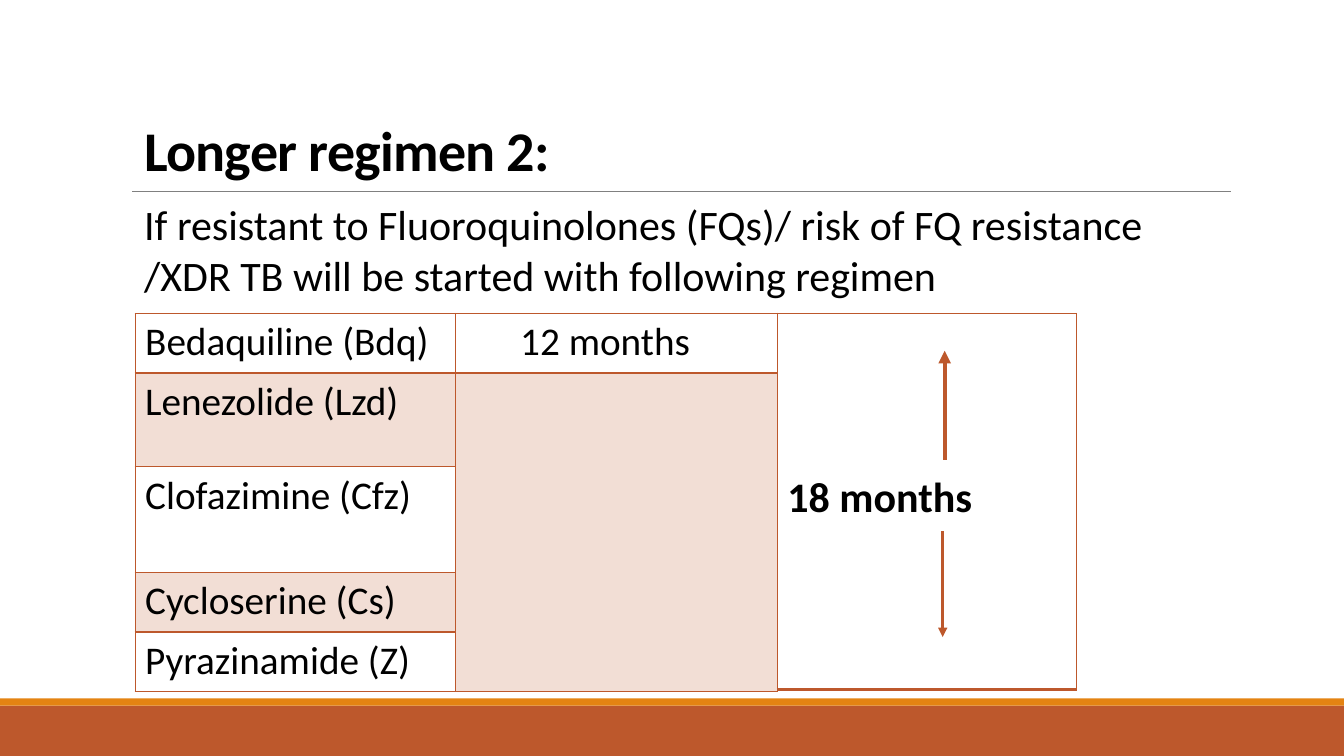
from pptx import Presentation
from pptx.dml.color import RGBColor
from pptx.enum.shapes import MSO_CONNECTOR as Connector, MSO_SHAPE as Shape
from pptx.enum.text import MSO_ANCHOR as Anchor, MSO_AUTO_SIZE as AutoSize, PP_ALIGN as Align
from pptx.oxml.ns import qn
from pptx.util import Inches, Pt
from lxml.etree import SubElement

COLORS = {"rust": "BD582C", "orange": "E48312", "tint": "F2DED5",
          "gray": "808080", "black": "000000"}
FONT = "Calibri"
THIN = {"L": 1, "R": 1, "T": 1, "B": 1}
THICK_BOTTOM = {**THIN, "B": 2}


def color(name):
    return RGBColor.from_string(COLORS[name])


class SlideBuilder:
    def __init__(self, presentation):
        self.slide = presentation.slides.add_slide(presentation.slide_layouts[5])
        self.shapes = self.slide.shapes

    def style(self, paragraph, size, bold=False):
        paragraph.alignment = Align.LEFT
        font = paragraph.font
        font.name, font.size, font.bold = FONT, Pt(size), bold
        font.color.rgb = color("black")

    def title(self, text, left, top, width, height):
        title = self.shapes.title
        title.left, title.top = Inches(left), Inches(top)
        title.width, title.height = Inches(width), Inches(height)
        frame = title.text_frame
        frame.text = text
        frame.auto_size = AutoSize.NONE
        frame.vertical_anchor = Anchor.BOTTOM
        paragraph = frame.paragraphs[0]
        paragraph.line_spacing = 0.85
        self.style(paragraph, 40, bold=True)
        paragraph.runs[0].font._element.set("spc", "-50")

    def band(self, top, height, fill):
        band = self.shapes.add_shape(Shape.RECTANGLE, 0, Inches(top), Inches(13.33), Inches(height))
        band.shadow.inherit = False
        band.fill.solid()
        band.fill.fore_color.rgb = color(fill)
        band.line.fill.background()

    def line(self, start, end, line_color, width, arrow=False):
        points = [Inches(value) for value in (*start, *end)]
        line = self.shapes.add_connector(Connector.STRAIGHT, *points)
        line.line.color.rgb = color(line_color)
        line.line.width = Pt(width)
        if arrow:
            SubElement(line.line._get_or_add_ln(), qn("a:tailEnd"), type="triangle")
        SubElement(line._element.spPr, qn("a:effectLst"))

    def table(self, left, top, columns, rows):
        """Add an unbanded table with the given column widths and row heights."""
        frame = self.shapes.add_table(
            len(rows), len(columns), Inches(left), Inches(top),
            Inches(sum(columns)), Inches(sum(rows)))
        table = frame.table
        table.first_row = table.horz_banding = False
        for column, width in zip(table.columns, columns):
            column.width = Inches(width)
        for row, height in zip(table.rows, rows):
            row.height = Inches(height)
        return table

    def cell(self, cell, text, size, borders=None, fill=None, bold=False):
        """Fill a cell; borders maps the sides L, R, T, B to widths in points."""
        properties = cell._tc.get_or_add_tcPr()
        for side in "LRTB":
            width = (borders or {}).get(side, 0)
            border = SubElement(properties, qn(f"a:ln{side}"), w=str(Pt(width)))
            if width:
                solid = SubElement(border, qn("a:solidFill"))
                SubElement(solid, qn("a:srgbClr"), val=COLORS["rust"])
            else:
                SubElement(border, qn("a:noFill"))
        if fill:
            cell.fill.solid()
            cell.fill.fore_color.rgb = color(fill)
        else:
            cell.fill.background()
        cell.text = text
        self.style(cell.text_frame.paragraphs[0], size, bold)


def main():
    presentation = Presentation()
    presentation.slide_width, presentation.slide_height = Inches(13.33), Inches(7.5)
    builder = SlideBuilder(presentation)

    builder.band(7, 0.5, "rust")
    builder.band(6.93, 0.07, "orange")
    builder.line((1.31, 1.9), (12.21, 1.9), "gray", 0.5)
    builder.title("Longer regimen 2:", 1.33, 0.27, 11, 1.59)

    drugs = ["Bedaquiline (Bdq)", "Lenezolide (Lzd)", "Clofazimine (Cfz)",
             "Cycloserine (Cs)", "Pyrazinamide (Z)"]
    regimen = builder.table(1.34, 3.11, [3.18, 3.19], [0.59, 0.93, 1.05, 0.59, 0.59])
    regimen.cell(1, 1).merge(regimen.cell(4, 1))
    for row, drug in enumerate(drugs):
        borders = THIN if row else THICK_BOTTOM
        builder.cell(regimen.cell(row, 0), drug, 28, borders, "tint" if row % 2 else None)
        builder.cell(regimen.cell(row, 1), "" if row else "12 months", 28, borders,
                     "tint" if row else None)
    regimen.cell(0, 1).margin_left = Inches(0.64)

    condition = builder.table(1.33, 1.94, [10.91], [1.1])
    builder.cell(condition.cell(0, 0),
                 "If resistant to Fluoroquinolones (FQs)/ risk of FQ resistance "
                 "/XDR TB will be started with following regimen", 30)

    duration = builder.table(7.71, 3.11, [2.97], [3.73])
    builder.cell(duration.cell(0, 0), "18 months", 30, THICK_BOTTOM, bold=True)
    duration.cell(0, 0).margin_top = Inches(1.58)

    builder.line((9.37, 4.56), (9.37, 3.48), "rust", 3, arrow=True)
    builder.line((9.35, 5.27), (9.35, 6.32), "rust", 2.25, arrow=True)
    presentation.save("out.pptx")


if __name__ == "__main__":
    main()
